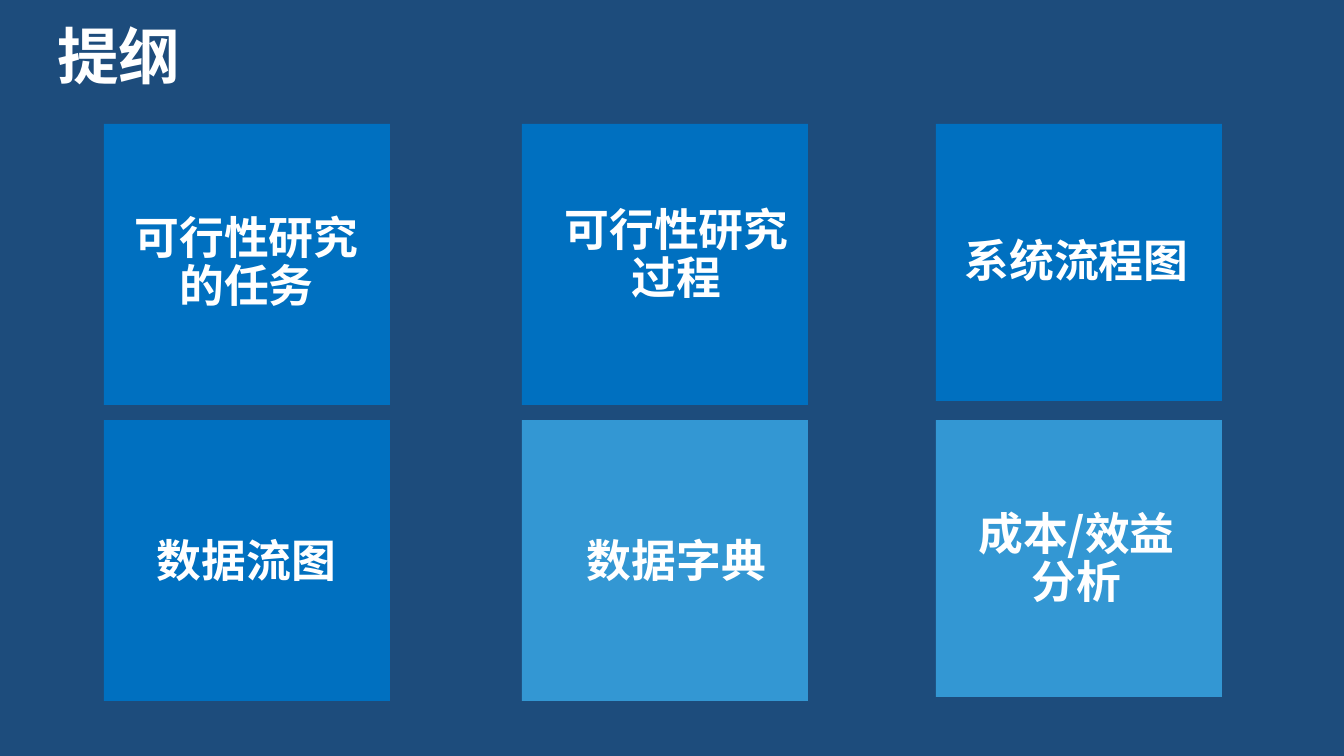
from pptx import Presentation
from pptx.dml.color import RGBColor
from pptx.enum.shapes import MSO_SHAPE as Shape
from pptx.enum.text import MSO_ANCHOR as Anchor, MSO_AUTO_SIZE as Fit, PP_ALIGN as Align
from pptx.oxml.ns import qn
from pptx.util import Pt
from lxml.etree import SubElement

SCALE = 914400 / 134.4
FONT = "Noto Sans CJK SC"
NAVY, BLUE, SKY, WHITE = "1D4C7C", "0070C0", "3397D3", "FFFFFF"
SIDE, LINE = 286, 49
COLS = [(104, 126), (522, 556), (936, 956)]
ROWS = [124, 420]
HEIGHTS = [281, 281, 277]
TILES = [
    [("可行性研究的任务", BLUE, 2, 264), ("可行性研究过程", BLUE, 2, 256), ("系统流程图", BLUE, 1, 263)],
    [("数据流图", BLUE, 1, 562), ("数据字典", SKY, 1, 562), ("成本/效益分析", SKY, 2, 560)],
]


def px(*sizes):
    """Turn pixel lengths into EMU."""
    return [round(size * SCALE) for size in sizes]


def paint(fill, color):
    """Set a solid fill from a hex string."""
    fill.solid()
    fill.fore_color.rgb = RGBColor.from_string(color)


def write(shape, text, size=24, align=Align.CENTER, color=WHITE, track=None):
    """Put one bold paragraph into a shape without margins."""
    frame = shape.text_frame
    frame.word_wrap = True
    frame.auto_size = Fit.NONE
    frame.vertical_anchor = Anchor.MIDDLE
    frame.margin_left = frame.margin_right = frame.margin_top = frame.margin_bottom = 0
    para = frame.paragraphs[0]
    para.alignment = align
    para.line_spacing = 0.9
    para.space_before = Pt(0)
    run = para.add_run()
    run.text = text
    font = run.font
    font.name, font.size, font.bold = FONT, Pt(size), True
    font.color.rgb = RGBColor.from_string(color)
    props = run._r.get_or_add_rPr()
    SubElement(props, qn("a:ea")).set("typeface", FONT)
    if track:
        props.set("spc", str(round(track * 100)))


def add_title(slide, text):
    """Place and fill the slide title."""
    title = slide.shapes.title
    title.left, title.top, title.width, title.height = px(58, 26, 1230, 67)
    write(title, text, size=33, align=Align.LEFT, track=-0.8)


def add_tile(slide, box, label, text, color):
    """Group a plain tile with its label."""
    group = slide.shapes.add_group_shape()
    tile = group.shapes.add_shape(Shape.RECTANGLE, *px(*box))
    tile.shadow.inherit = False
    paint(tile.fill, color)
    tile.line.fill.background()
    write(group.shapes.add_textbox(*px(*label)), text)


def main():
    """Build and save the outline slide."""
    deck = Presentation()
    deck.slide_width, deck.slide_height = px(1344, 756)
    slide = deck.slides.add_slide(deck.slide_layouts[5])
    paint(slide.background.fill, NAVY)
    add_title(slide, "提纲")
    for top, row in zip(ROWS, TILES):
        for (left, inner), tall, (text, color, lines, mid) in zip(COLS, HEIGHTS, row):
            high = lines * LINE
            label = (inner, mid - high // 2, 241, high)
            add_tile(slide, (left, top, SIDE, tall), label, text, color)
    deck.save("out.pptx")


if __name__ == "__main__":
    main()
